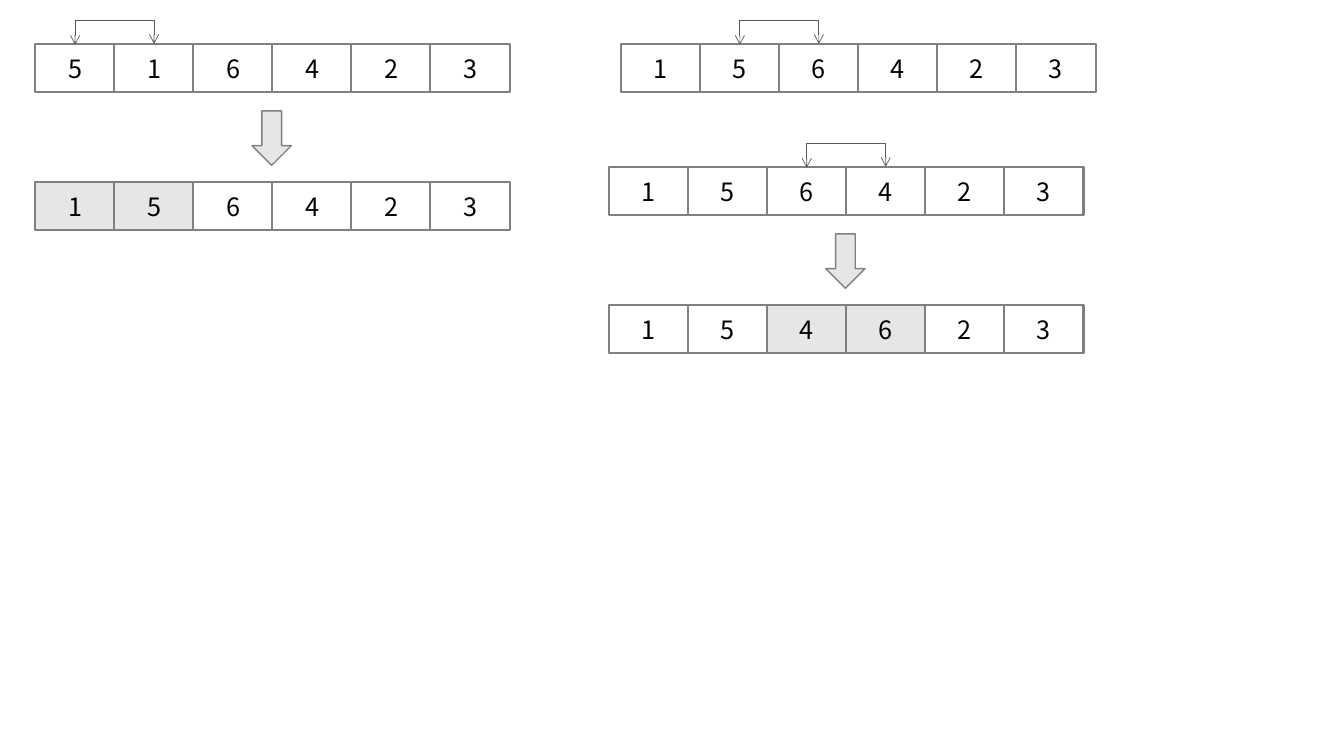
from pptx import Presentation
from pptx.dml.color import RGBColor
from pptx.enum.shapes import MSO_CONNECTOR, MSO_SHAPE
from pptx.enum.text import MSO_ANCHOR, PP_ALIGN
from pptx.oxml.ns import qn
from pptx.util import Inches, Pt
from lxml import etree

RECTANGLE, DOWN_ARROW = MSO_SHAPE.RECTANGLE, MSO_SHAPE.DOWN_ARROW
ELBOW = MSO_CONNECTOR.ELBOW
MIDDLE, CENTER = MSO_ANCHOR.MIDDLE, PP_ALIGN.CENTER

FONT = "Noto Sans CJK KR"
PITCH = 4.7 / 6
CELL_WIDTH, CELL_HEIGHT = 0.79, 0.47
RESULT_DROP = 1.37
ARROW_SHIFT, ARROW_DROP = 2.15, 0.66
BRACKET_RISE, BRACKET_DEPTH = 0.25, 0.01


def color(hex_string):
    return RGBColor.from_string(hex_string)


def add_box(kind, left, top, width, height, fill, line_width):
    box = slide.shapes.add_shape(
        kind, Inches(left), Inches(top), Inches(width), Inches(height))
    box.shadow.inherit = False
    box.fill.solid()
    box.fill.fore_color.rgb = color(fill)
    box.line.color.rgb = color("808080")
    box.line.width = Pt(line_width)
    return box


prs = Presentation()
prs.slide_width, prs.slide_height = Inches(13.33), Inches(7.5)
slide = prs.slides.add_slide(prs.slide_layouts[6])

steps = [
    (0.35, 0.44, "516423", 0, True),
    (6.16, 0.44, "156423", 1, False),
    (6.04, 1.66, "156423", 2, True),
]

for left, top, numbers, first, swapped in steps:
    rows = [(top, numbers, ())]
    if swapped:
        pair = numbers[first:first + 2]
        result = numbers.replace(pair, pair[::-1])
        rows.insert(0, (top + RESULT_DROP, result, (first, first + 1)))

    for row_top, digits, highlighted in rows:
        for index, digit in enumerate(digits):
            fill = "E7E6E6" if index in highlighted else "FFFFFF"
            cell = add_box(RECTANGLE, left + index * PITCH, row_top,
                           CELL_WIDTH, CELL_HEIGHT, fill, 1.5)
            cell.text_frame.text = digit
            cell.text_frame.vertical_anchor = MIDDLE
            paragraph = cell.text_frame.paragraphs[0]
            paragraph.alignment = CENTER
            font = paragraph.runs[0].font
            font.name, font.size = FONT, Pt(18)
            font.color.rgb = color("000000")
            run_properties = paragraph.runs[0]._r.get_or_add_rPr()
            etree.SubElement(run_properties, qn("a:ea"), typeface=FONT)

    middle = left + first * PITCH + (CELL_WIDTH + PITCH) / 2
    bracket = slide.shapes.add_connector(ELBOW, 0, 0, 0, 0)
    bracket.left = Inches(middle - BRACKET_DEPTH / 2)
    bracket.top = Inches(top - PITCH / 2)
    bracket.width, bracket.height = Inches(BRACKET_DEPTH), Inches(PITCH)
    bracket.line.color.rgb = color("595959")
    bracket.line.width = Pt(0.5)
    properties = bracket._element.spPr
    transform = properties.find(qn("a:xfrm"))
    for key, value in (("rot", "5400000"), ("flipH", "1"), ("flipV", "1")):
        transform.set(key, value)
    adjustments = properties.find(qn("a:prstGeom")).find(qn("a:avLst"))
    bend = round(BRACKET_RISE / BRACKET_DEPTH * 100000)
    etree.SubElement(adjustments, qn("a:gd"), name="adj1", fmla=f"val {bend}")
    for end in ("a:headEnd", "a:tailEnd"):
        etree.SubElement(properties.find(qn("a:ln")), qn(end), type="arrow")
    etree.SubElement(properties, qn("a:effectLst"))

    if swapped:
        add_box(DOWN_ARROW, left + ARROW_SHIFT, top + ARROW_DROP,
                0.39, 0.54, "E7E6E6", 1)

prs.save("out.pptx")
